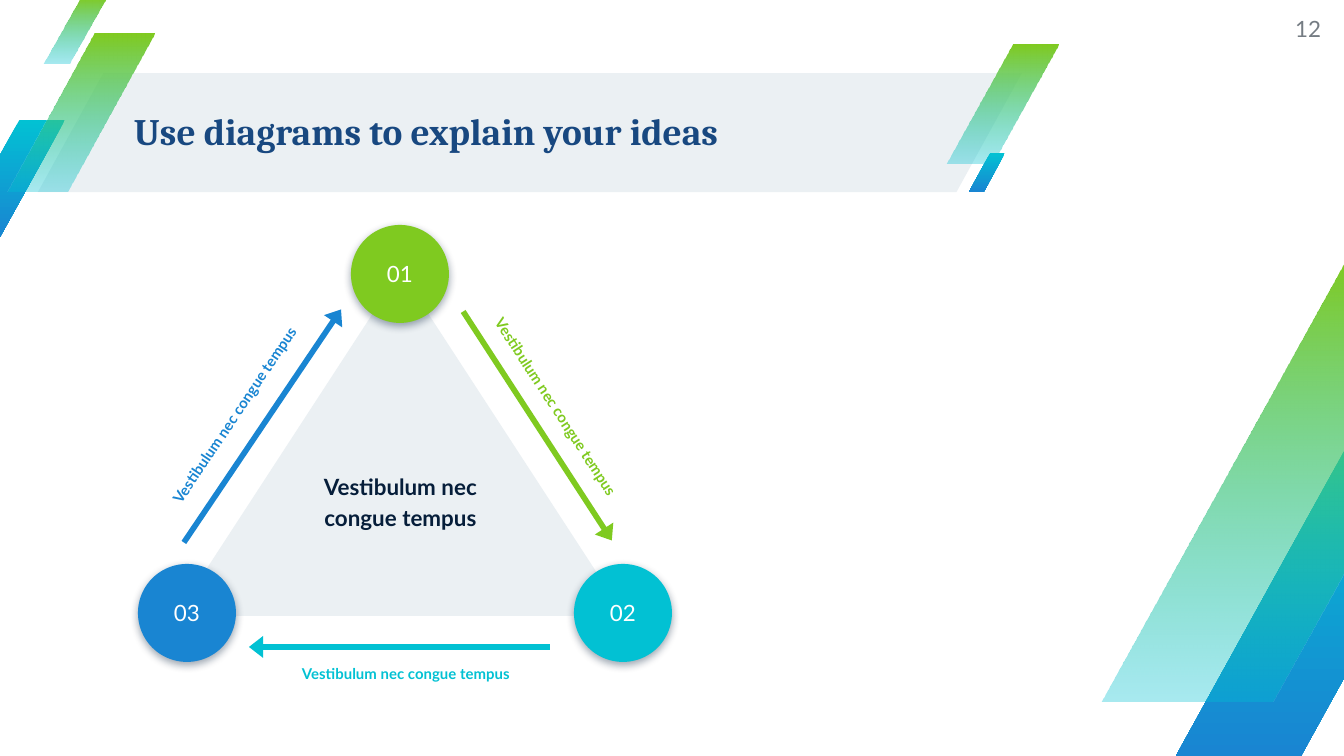
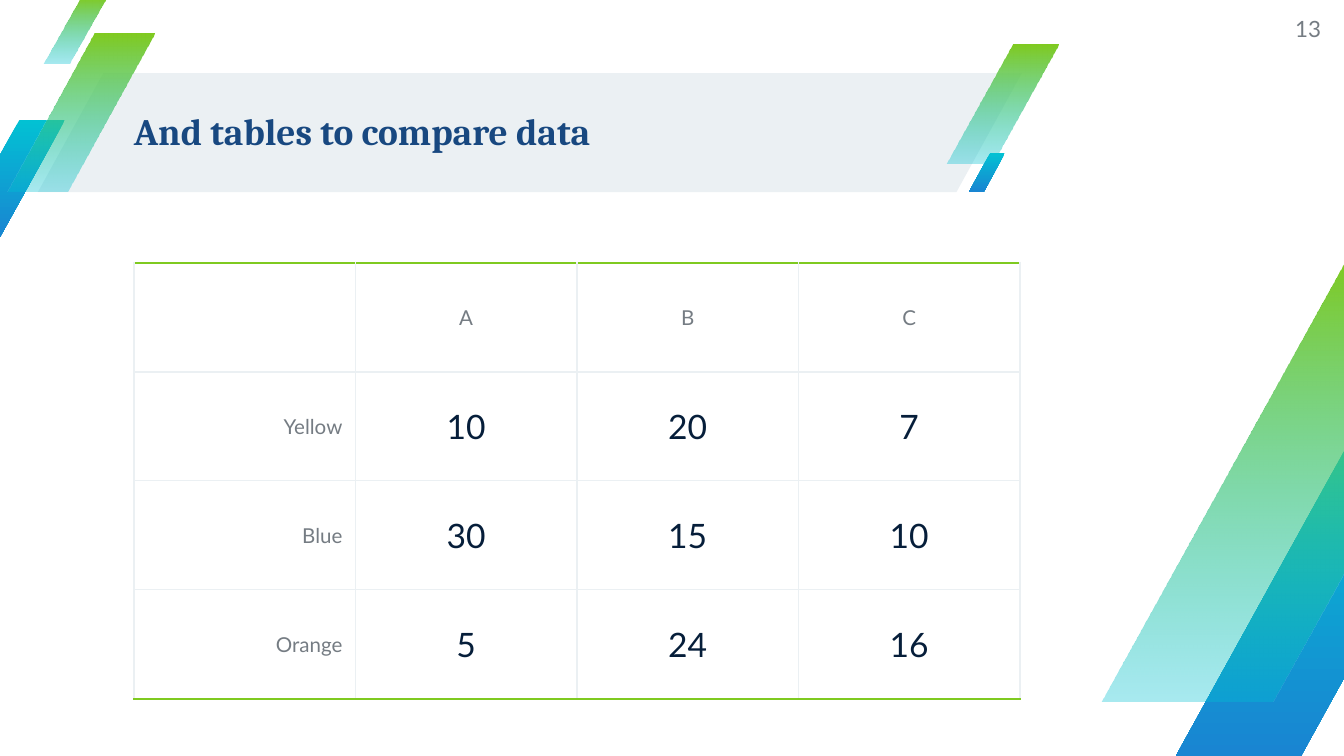
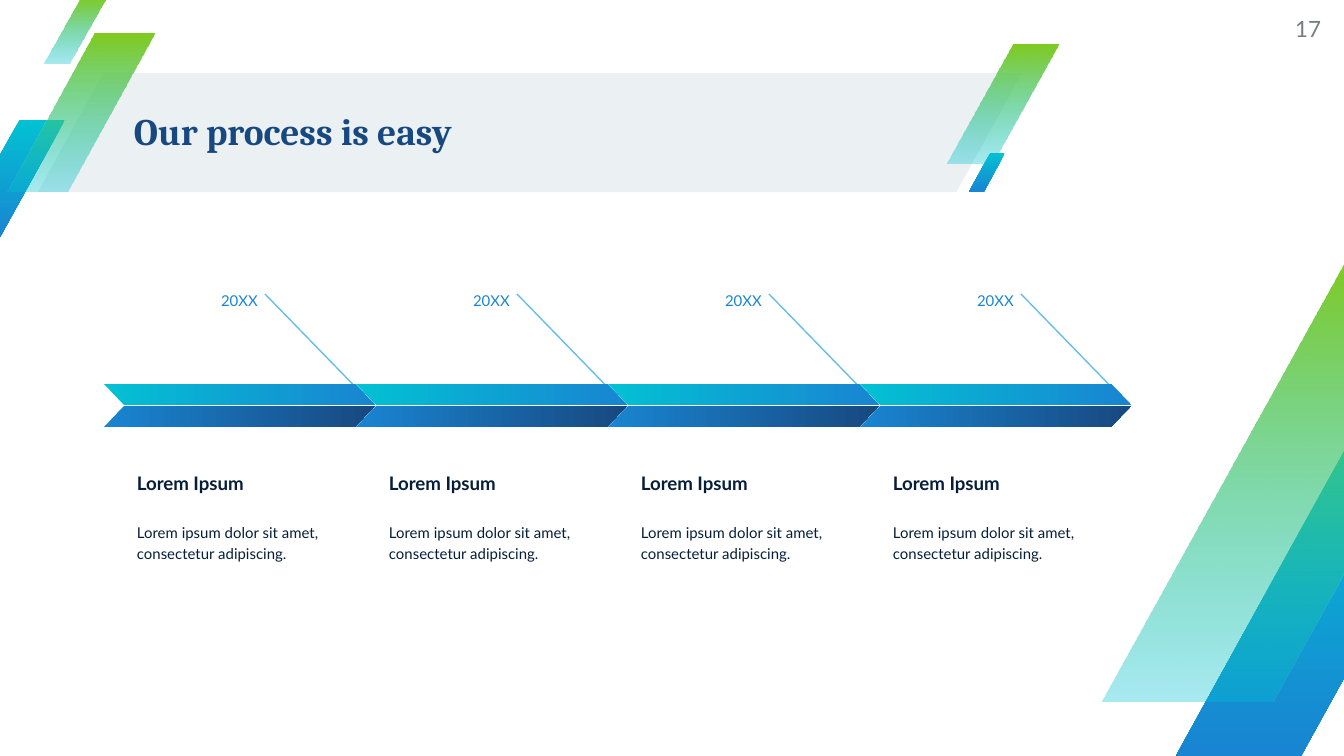
from lxml.etree import SubElement
from pptx import Presentation
from pptx.dml.color import RGBColor
from pptx.enum.shapes import MSO_CONNECTOR, MSO_SHAPE
from pptx.enum.text import MSO_ANCHOR, MSO_AUTO_SIZE, PP_ALIGN
from pptx.oxml.ns import qn
from pptx.util import Pt

PX = 914400 / 134.4

GREEN = RGBColor(0x7F, 0xCA, 0x20)
TEAL = RGBColor(0x02, 0xC1, 0xD3)
BLUE = RGBColor(0x19, 0x85, 0xD2)
NAVY = RGBColor(0x18, 0x48, 0x80)
INK = RGBColor(0x06, 0x1E, 0x3A)
GRAY = RGBColor(0x75, 0x7C, 0x83)
PALE = RGBColor(0xEB, 0xF0, 0xF3)
SKY = RGBColor(0x66, 0xBD, 0xE8)
WHITE = RGBColor(0xFF, 0xFF, 0xFF)

MARGINS = ("margin_left", "margin_top", "margin_right", "margin_bottom")
PADDED = {"word_wrap": True, "auto_size": MSO_AUTO_SIZE.NONE,
          "vertical_anchor": MSO_ANCHOR.TOP, **dict.fromkeys(MARGINS, round(13 * PX))}
FLUSH = {**PADDED, "vertical_anchor": MSO_ANCHOR.MIDDLE, **dict.fromkeys(MARGINS, 0)}
CENTERED = {"alignment": PP_ALIGN.CENTER, "line_spacing": 1.15}
BODY = {"alignment": PP_ALIGN.LEFT, "line_spacing": 1.15}


def write(text_frame, text, color, font, paragraph_format, frame_format):
    """Fill a text frame with one paragraph and format all three levels."""
    text_frame.text = text
    paragraph = text_frame.paragraphs[0]
    paragraph.font.color.rgb = color
    for target, values in ((text_frame, frame_format), (paragraph, paragraph_format),
                           (paragraph.font, {"name": "Lato", **font})):
        for name, value in values.items():
            setattr(target, name, value)


def add_filled(slide, kind, box, colors, adjustments=(), angle=270, end_alpha=None):
    """Add a borderless shape with one colour, or a gradient between two."""
    shape = slide.shapes.add_shape(kind, *(round(n * PX) for n in box))
    shape.shadow.inherit = False
    shape.line.fill.background()
    for index, value in enumerate(adjustments):
        shape.adjustments[index] = value
    if len(colors) == 1:
        shape.fill.solid()
        shape.fill.fore_color.rgb = colors[0]
        return shape
    shape.fill.gradient()
    shape.fill.gradient_angle = angle
    for stop, color in zip(shape.fill.gradient_stops, colors):
        stop.color.rgb = color
    if end_alpha:
        end_color = shape._element.spPr.findall(".//" + qn("a:srgbClr"))[-1]
        SubElement(end_color, qn("a:alpha"), val=str(end_alpha * 1000))
    return shape


presentation = Presentation()
presentation.slide_width = round(1344 * PX)
presentation.slide_height = round(756 * PX)

# Shared layout: title place, page numbers and slanted bands
layout = presentation.slide_layouts[5]
for placeholder in list(layout.placeholders):
    if placeholder.placeholder_format.idx:
        placeholder._element.getparent().remove(placeholder._element)
layout_title = layout.placeholders[0]
for name, value in {"left": 134, "top": 73, "width": 886, "height": 120}.items():
    setattr(layout_title, name, round(value * PX))

slides = []
for title, number in (("Use diagrams to explain your ideas", "12"),
                      ("And tables to compare data", "13"),
                      ("Our process is easy", "17")):
    slide = presentation.slides.add_slide(layout)
    write(slide.shapes.title.text_frame, title, NAVY,
          {"name": "Cambria", "size": Pt(20), "bold": True},
          {"alignment": PP_ALIGN.LEFT, "line_spacing": 0.9}, FLUSH)
    page_number = slide.shapes.add_textbox(*(round(n * PX) for n in (1258, 0, 63, 58)))
    write(page_number.text_frame, number, GRAY, {"size": Pt(12)},
          {"alignment": PP_ALIGN.RIGHT}, FLUSH)
    slides.append(slide)
diagram_slide, table_slide, process_slide = slides

for box, colors, slant, end_alpha in (
    ((38, 73, 984, 119), (PALE,), 0.55, None),
    ((-46, 120, 111, 118), (TEAL, BLUE), 0.59, None),
    ((947, 45, 111, 119), (GREEN, TEAL), 0.59, 34),
    ((8, 34, 147, 158), (GREEN, TEAL), 0.59, 34),
    ((44, -2, 62, 66), (GREEN, TEAL), 0.59, 34),
    ((969, 153, 36, 39), (TEAL, BLUE), 0.59, None),
    ((1176, 430, 305, 326), (TEAL, BLUE), 0.59, None),
    ((1101, 258, 417, 444), (GREEN, TEAL), 0.59, 34),
):
    band = add_filled(diagram_slide, MSO_SHAPE.PARALLELOGRAM, box, colors, (slant,),
                      end_alpha=end_alpha)
    layout.shapes._spTree.append(band._element)

# Triangle diagram
PHRASE = "Vestibulum nec congue tempus"
add_filled(diagram_slide, MSO_SHAPE.ISOSCELES_TRIANGLE, (176, 271, 449, 345), (PALE,))
center_label = diagram_slide.shapes.add_textbox(*(round(n * PX) for n in (276, 456, 249, 138)))
write(center_label.text_frame, PHRASE, INK, {"size": Pt(12), "bold": True}, CENTERED, PADDED)

for number, color, circle_place, arrow_box, arrow_turn, label_place, label_turn in (
    ("02", TEAL, (574, 564), (249, 636, 301, 22), 180, (262, 649), 0),
    ("03", BLUE, (138, 564), (122, 415, 281, 22), 304, (91, 390), 303.9),
    ("01", GREEN, (351, 225), (401, 415, 273, 22), 57, (411, 382), 57),
):
    arrow = add_filled(diagram_slide, MSO_SHAPE.RIGHT_ARROW, arrow_box, (color,), (0.255, 0.643))
    arrow.rotation = arrow_turn
    label = diagram_slide.shapes.add_textbox(*(round(n * PX) for n in (*label_place, 288, 51)))
    label.rotation = label_turn
    write(label.text_frame, PHRASE, color, {"size": Pt(8), "bold": True}, CENTERED, PADDED)
    circle = add_filled(diagram_slide, MSO_SHAPE.OVAL, (*circle_place, 98, 98), (color,))
    write(circle.text_frame, number, WHITE, {"size": Pt(12)}, {"alignment": PP_ALIGN.CENTER},
          {**PADDED, "vertical_anchor": MSO_ANCHOR.MIDDLE})
    effects = circle._element.spPr.find(qn("a:effectLst"))
    shadow = SubElement(effects, qn("a:outerShdw"), blurRad=str(Pt(4.5)), dist=str(Pt(1.5)),
                        dir="5400000", algn="bl", rotWithShape="0")
    shadow_color = SubElement(shadow, qn("a:srgbClr"), val=str(INK))
    SubElement(shadow_color, qn("a:alpha"), val="38000")

# Comparison table
ROWS = (("", "A", "B", "C"),
        ("Yellow", "10", "20", "7"),
        ("Blue", "30", "15", "10"),
        ("Orange", "5", "24", "16"))
table = table_slide.shapes.add_table(
    4, 4, *(round(n * PX) for n in (134, 263, 886, 436))).table
table.first_row = table.horz_banding = False
for row, values in enumerate(ROWS):
    for column, value in enumerate(values):
        cell = table.cell(row, column)
        heading = row == 0 or column == 0
        alignment = PP_ALIGN.CENTER if column else PP_ALIGN.RIGHT
        if value:
            write(cell.text_frame, value, GRAY if heading else INK,
                  {"size": Pt(11 if heading else 18)}, {"alignment": alignment}, {})
        cell.vertical_anchor = MSO_ANCHOR.MIDDLE
        for name, margin in zip(MARGINS, (13, 9, 13, 9)):
            setattr(cell, name, round(margin * PX))
        properties = cell._tc.get_or_add_tcPr()
        for side, accented in (("L", False), ("R", False), ("T", row == 0), ("B", row == 3)):
            border = SubElement(properties, qn("a:ln" + side),
                                w=str(Pt(1.5 if accented else 0.75)))
            border_fill = SubElement(border, qn("a:solidFill"))
            SubElement(border_fill, qn("a:srgbClr"), val=str(GREEN if accented else PALE))
        cell.fill.background()

# Process timeline
for step in range(4):
    shift = 252 * step
    for text, box, color, font, paragraph_format, anchor in (
        ("20XX", (180, 276, 91, 35), BLUE, {"size": Pt(8)},
         {**BODY, "alignment": PP_ALIGN.RIGHT, "space_after": Pt(16)}, MSO_ANCHOR.TOP),
        ("Lorem Ipsum", (124, 441, 222, 66), INK, {"size": Pt(10), "bold": True},
         BODY, MSO_ANCHOR.BOTTOM),
        ("Lorem ipsum dolor sit amet, consectetur adipiscing.", (124, 508, 227, 109), INK,
         {"size": Pt(8)}, {**BODY, "space_after": Pt(16)}, MSO_ANCHOR.TOP),
    ):
        left, *rest = box
        text_box = process_slide.shapes.add_textbox(
            *(round(n * PX) for n in (left + shift, *rest)))
        write(text_box.text_frame, text, color, font, paragraph_format,
              {**PADDED, "vertical_anchor": anchor})
    pointer = process_slide.shapes.add_connector(
        MSO_CONNECTOR.STRAIGHT,
        *(round(n * PX) for n in (265 + shift, 294, 371 + shift, 403)))
    pointer.line.color.rgb = SKY
    pointer.line.width = Pt(0.75)
    SubElement(pointer._element.spPr, qn("a:effectLst"))
    upper_half = add_filled(process_slide, MSO_SHAPE.PARALLELOGRAM, (104 + shift, 384, 271, 21),
                            (TEAL, BLUE), (0.97,), angle=0)
    upper_half.rotation = 180
    upper_half._element.spPr.xfrm.set("flipH", "1")
    add_filled(process_slide, MSO_SHAPE.PARALLELOGRAM, (104 + shift, 406, 271, 21),
               (BLUE, NAVY), (0.97,), angle=0)

presentation.save("out.pptx")
